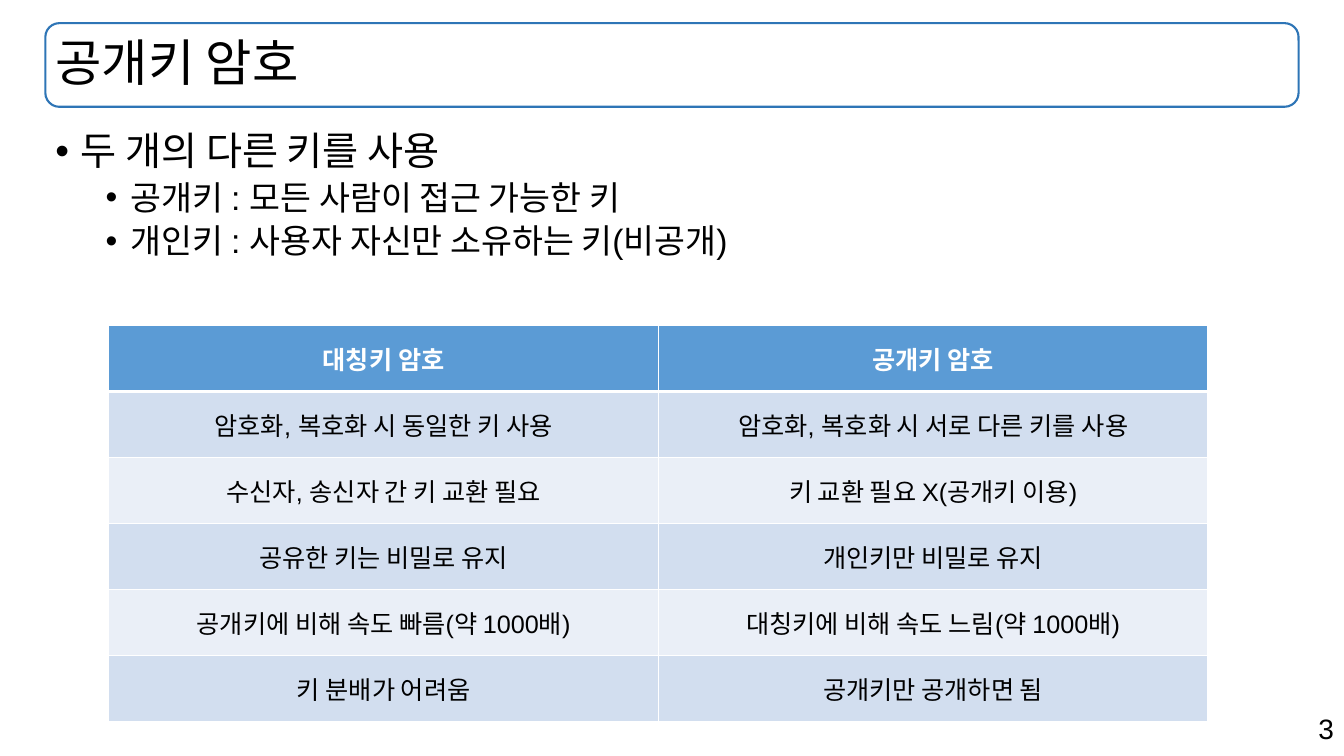
from lxml import etree
from pptx import Presentation
from pptx.dml.color import RGBColor
from pptx.enum.shapes import MSO_SHAPE
from pptx.enum.text import MSO_ANCHOR, PP_ALIGN
from pptx.oxml.ns import qn
from pptx.util import Inches, Pt

ROUND = MSO_SHAPE.ROUNDED_RECTANGLE
MIDDLE, TOP = MSO_ANCHOR.MIDDLE, MSO_ANCHOR.TOP
LEFT, CENTER, RIGHT = PP_ALIGN.LEFT, PP_ALIGN.CENTER, PP_ALIGN.RIGHT

FONT = "Arial"
COLORS = {
    "text": "000000",
    "white": "FFFFFF",
    "frame": "2E75B6",
    "head": "5B9BD5",
    "dark": "D2DEEF",
    "light": "EAEFF7",
}
TITLE_BOX = (0.45, 0.23, 12.43, 0.83)
BODY_BOX = (0.45, 1.26, 12.43, 1.6)
TABLE_BOX = (1.08, 3.23, 10.9, 3.93)
PAGE_BOX = (9.43, 7.01, 3.9, 0.44)

POINTS = [
    (0, "두 개의 다른 키를 사용"),
    (1, "공개키 : 모든 사람이 접근 가능한 키"),
    (1, "개인키 : 사용자 자신만 소유하는 키(비공개)"),
]
ROWS = [
    ("대칭키 암호", "공개키 암호"),
    ("암호화, 복호화 시 동일한 키 사용", "암호화, 복호화 시 서로 다른 키를 사용"),
    ("수신자, 송신자 간 키 교환 필요", "키 교환 필요 X(공개키 이용)"),
    ("공유한 키는 비밀로 유지", "개인키만 비밀로 유지"),
    ("공개키에 비해 속도 빠름(약 1000배)", "대칭키에 비해 속도 느림(약 1000배)"),
    ("키 분배가 어려움", "공개키만 공개하면 됨"),
]


def color(name):
    return RGBColor.from_string(COLORS[name])


def place(box):
    return [Inches(v) for v in box]


def write(para, text, size=18, fill="text", bold=False, align=LEFT,
          spacing=None, before=0):
    para.text = text
    para.alignment = align
    para.line_spacing = spacing
    para.space_before = Pt(before)
    font = para.font
    font.name, font.size, font.bold = FONT, Pt(size), bold
    font.color.rgb = color(fill)


def add_bullet(para, level):
    para.level = level
    props = para._p.get_or_add_pPr()
    props.set("marL", str(Inches(0.25 + 0.5 * level)))
    props.set("indent", str(Inches(-0.25)))
    etree.SubElement(props, qn("a:buFont"), typeface=FONT)
    etree.SubElement(props, qn("a:buChar"), char="•")


def add_frame(slide, box):
    frame = slide.shapes.add_shape(ROUND, *place(box))
    frame.shadow.inherit = False
    frame.fill.background()
    frame.line.color.rgb = color("frame")
    frame.line.width = Pt(1.5)


def set_title(slide, text, box):
    title = slide.shapes.title
    title.left, title.top, title.width, title.height = place(box)
    title.text_frame.vertical_anchor = MIDDLE
    write(title.text_frame.paragraphs[0], text, size=36, spacing=0.9)


def add_box(slide, box):
    frame = slide.shapes.add_textbox(*place(box)).text_frame
    frame.word_wrap = True
    frame.vertical_anchor = TOP
    return frame


def add_points(slide, points, box):
    frame = add_box(slide, box)
    for i, (level, text) in enumerate(points):
        para = frame.add_paragraph() if i else frame.paragraphs[0]
        add_bullet(para, level)
        write(para, text, size=28 - 4 * level, spacing=0.9,
              before=5 if i else 0)


def set_edges(cell, **widths):
    props = cell._tc.get_or_add_tcPr()
    for side in "LRTB":
        edge = etree.SubElement(props, qn(f"a:ln{side}"),
                                w=str(Pt(widths.get(side, 1))))
        fill = etree.SubElement(edge, qn("a:solidFill"))
        etree.SubElement(fill, qn("a:srgbClr"), val=COLORS["white"])


def add_grid(slide, rows, box):
    count, wide = len(rows), len(rows[0])
    table = slide.shapes.add_table(count, wide, *place(box)).table
    for r, texts in enumerate(rows):
        head = r == 0
        shade = "head" if head else "dark" if r % 2 else "light"
        for c, text in enumerate(texts):
            cell = table.cell(r, c)
            # The rule under the header is thicker
            set_edges(cell, T=3 if r == 1 else 1, B=3 if head else 1)
            cell.fill.solid()
            cell.fill.fore_color.rgb = color(shade)
            cell.vertical_anchor = MIDDLE
            write(cell.text_frame.paragraphs[0], text, bold=head,
                  fill="white" if head else "text", align=CENTER)


def main():
    deck = Presentation()
    deck.slide_width, deck.slide_height = Inches(13.33), Inches(7.5)
    slide = deck.slides.add_slide(deck.slide_layouts[5])

    # Title and its frame
    add_frame(slide, TITLE_BOX)
    set_title(slide, "공개키 암호", TITLE_BOX)

    # Key points and comparison
    add_points(slide, POINTS, BODY_BOX)
    add_grid(slide, ROWS, TABLE_BOX)

    # Page number
    page = add_box(slide, PAGE_BOX)
    write(page.paragraphs[0], "3", size=20, align=RIGHT)

    deck.save("out.pptx")


if __name__ == "__main__":
    main()
